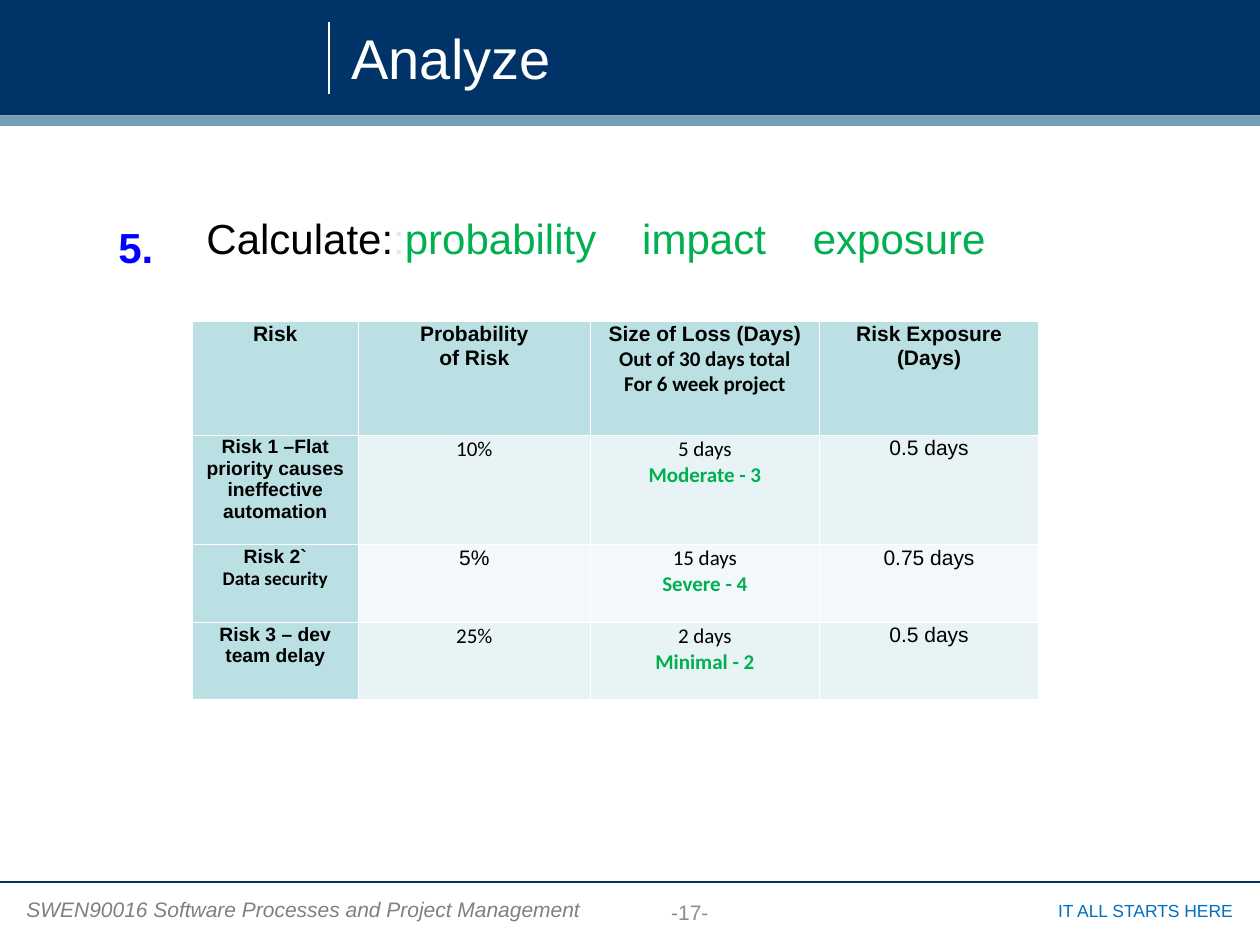
from dataclasses import dataclass, replace

from lxml import etree
from pptx import Presentation
from pptx.dml.color import RGBColor
from pptx.enum import shapes, text
from pptx.oxml import ns
from pptx.util import Pt


@dataclass(frozen=True)
class Style:
    size: float
    color: str
    font: str = "Arial"
    bold: bool = False
    italic: bool = False


class Theme:
    NAVY, STEEL, WHITE = "003368", "759FB8", "FFFFFF"
    LABEL_FILL = "BBE0E3"
    BAND_FILLS = ("E7F3F4", "F3F9FA")
    TITLE = Style(32, WHITE)
    LEAD = Style(24, "000000")
    FADED = replace(LEAD, color="DAEDEF")
    TERMS = replace(LEAD, color="00B050")
    NUMBER = replace(LEAD, color="0000FF", bold=True)
    COURSE = Style(12, "808080", italic=True)
    PAGE = Style(12, "8C8C8C")
    MOTTO = Style(10, "0070C0")
    VALUE = Style(12, "000000")
    DAYS = replace(VALUE, font="Calibri")
    HEAD = replace(VALUE, bold=True)
    HEAD_NOTE = replace(DAYS, bold=True)
    RISK = replace(HEAD, size=11)
    RISK_NOTE = replace(HEAD_NOTE, size=11)
    RATING = replace(HEAD_NOTE, color="00B050")


COLUMN_WIDTHS = (95, 132.5, 131, 125.3)
ROW_HEIGHTS = (65, 62.5, 44.5, 44)

HEADINGS = (
    [("Risk", Theme.HEAD)],
    [("Probability", Theme.HEAD), ("of Risk", Theme.HEAD)],
    [("Size of Loss (Days)", Theme.HEAD),
     ("Out of 30 days total", Theme.HEAD_NOTE),
     ("For 6 week project", Theme.HEAD_NOTE)],
    [("Risk Exposure", Theme.HEAD), ("(Days)", Theme.HEAD)],
)

RISKS = (
    ([("Risk 1 –Flat priority causes ineffective automation", Theme.RISK)],
     ("10%", Theme.DAYS), "5 days", "Moderate - 3", "0.5 days"),
    ([("Risk 2`", Theme.RISK), ("Data security", Theme.RISK_NOTE)],
     ("5%", Theme.VALUE), "15 days", "Severe - 4", "0.75 days"),
    ([("Risk 3 – dev team delay", Theme.RISK)],
     ("25%", Theme.DAYS), "2 days", "Minimal - 2", "0.5 days"),
)


def rgb(color):
    return RGBColor.from_string(color)


def add_run(paragraph, words, style):
    run = paragraph.add_run()
    run.text = words
    font = run.font
    font.name, font.size = style.font, Pt(style.size)
    font.bold, font.italic = style.bold, style.italic
    font.color.rgb = rgb(style.color)


def add_label(slide, box, runs, align=text.PP_ALIGN.LEFT,
              anchor=text.MSO_ANCHOR.TOP, wrap=True):
    """Add a one-paragraph text box and return its paragraph."""
    frame = slide.shapes.add_textbox(*map(Pt, box)).text_frame
    frame.word_wrap = wrap
    frame.vertical_anchor = anchor
    paragraph = frame.paragraphs[0]
    paragraph.alignment = align
    for words, style in runs:
        add_run(paragraph, words, style)
    return paragraph


def add_tab_stops(paragraph, positions):
    stops = etree.SubElement(paragraph._p.get_or_add_pPr(), ns.qn("a:tabLst"))
    for position in positions:
        etree.SubElement(stops, ns.qn("a:tab"), pos=str(Pt(position)), algn="l")


def add_band(slide, box, color):
    band = slide.shapes.add_shape(shapes.MSO_SHAPE.RECTANGLE, *map(Pt, box))
    band.shadow.inherit = False
    band.fill.solid()
    band.fill.fore_color.rgb = rgb(color)
    band.line.fill.background()


def add_rule(slide, ends, color):
    rule = slide.shapes.add_connector(
        shapes.MSO_CONNECTOR.STRAIGHT, *map(Pt, ends))
    rule.line.color.rgb = rgb(color)
    rule.line.width = Pt(0.75)
    etree.SubElement(rule._element.spPr, ns.qn("a:effectLst"))


def set_title(slide, words):
    title = slide.shapes.title
    title.left, title.top, title.width, title.height = map(
        Pt, (193.7, 5.8, 520, 54))
    frame = title.text_frame
    frame.vertical_anchor = text.MSO_ANCHOR.MIDDLE
    paragraph = frame.paragraphs[0]
    paragraph.alignment = text.PP_ALIGN.LEFT
    add_run(paragraph, words, Theme.TITLE)


def fill_cell(cell, lines, color):
    cell.fill.solid()
    cell.fill.fore_color.rgb = rgb(color)
    cell.margin_left = cell.margin_right = Pt(5)
    cell.margin_top, cell.margin_bottom = Pt(0.7), 0
    frame = cell.text_frame
    for index, (words, style) in enumerate(lines):
        paragraph = frame.add_paragraph() if index else frame.paragraphs[0]
        paragraph.alignment = text.PP_ALIGN.CENTER
        add_run(paragraph, words, style)


def add_risk_table(slide):
    table = slide.shapes.add_table(
        len(ROW_HEIGHTS), len(COLUMN_WIDTHS), Pt(109.8), Pt(183.8),
        Pt(sum(COLUMN_WIDTHS)), Pt(sum(ROW_HEIGHTS))).table
    table.horz_banding = False
    for column, width in zip(table.columns, COLUMN_WIDTHS):
        column.width = Pt(width)
    for row, height in zip(table.rows, ROW_HEIGHTS):
        row.height = Pt(height)
    for column, lines in enumerate(HEADINGS):
        fill_cell(table.cell(0, column), lines, Theme.LABEL_FILL)
    for row, (risk, probability, loss, rating, exposure) in enumerate(RISKS):
        contents = (risk, [probability],
                    [(loss, Theme.DAYS), (rating, Theme.RATING)],
                    [(exposure, Theme.VALUE)])
        for column, lines in enumerate(contents):
            color = Theme.BAND_FILLS[row % 2] if column else Theme.LABEL_FILL
            fill_cell(table.cell(row + 1, column), lines, color)


def add_header(slide):
    add_band(slide, (0, 0, 720, 66), Theme.NAVY)
    add_rule(slide, (188, 12.5, 188, 53.5), Theme.WHITE)
    add_band(slide, (0, 66, 720, 6), Theme.STEEL)


def add_footer(slide):
    add_rule(slide, (0, 504, 720, 504), Theme.NAVY)
    add_label(slide, (8, 509, 333.5, 21.8),
              [("SWEN90016 Software Processes and Project Management",
                Theme.COURSE)], wrap=False)
    add_label(slide, (563, 510.5, 148.5, 19.4),
              [("IT ALL STARTS HERE", Theme.MOTTO)], text.PP_ALIGN.RIGHT)
    add_label(slide, (286, 509, 216.5, 24.5), [("-17-", Theme.PAGE)],
              text.PP_ALIGN.CENTER, text.MSO_ANCHOR.MIDDLE)


def main():
    deck = Presentation()
    deck.slide_width, deck.slide_height = Pt(720), Pt(540)
    slide = deck.slides.add_slide(deck.slide_layouts[5])
    add_header(slide)
    add_footer(slide)
    # The title is moved in front of the header band.
    slide.shapes._spTree.append(slide.shapes.title._element)
    set_title(slide, "Analyze")
    add_risk_table(slide)
    calculation = add_label(
        slide, (110.9, 118, 491, 36),
        [("Calculate:", Theme.LEAD), (":", Theme.FADED),
         ("probability\timpact\texposure", Theme.TERMS)])
    add_tab_stops(calculation, (249, 346.5))
    add_label(slide, (60.5, 123, 44.6, 36), [("5.", Theme.NUMBER)])
    deck.save("out.pptx")


if __name__ == "__main__":
    main()
